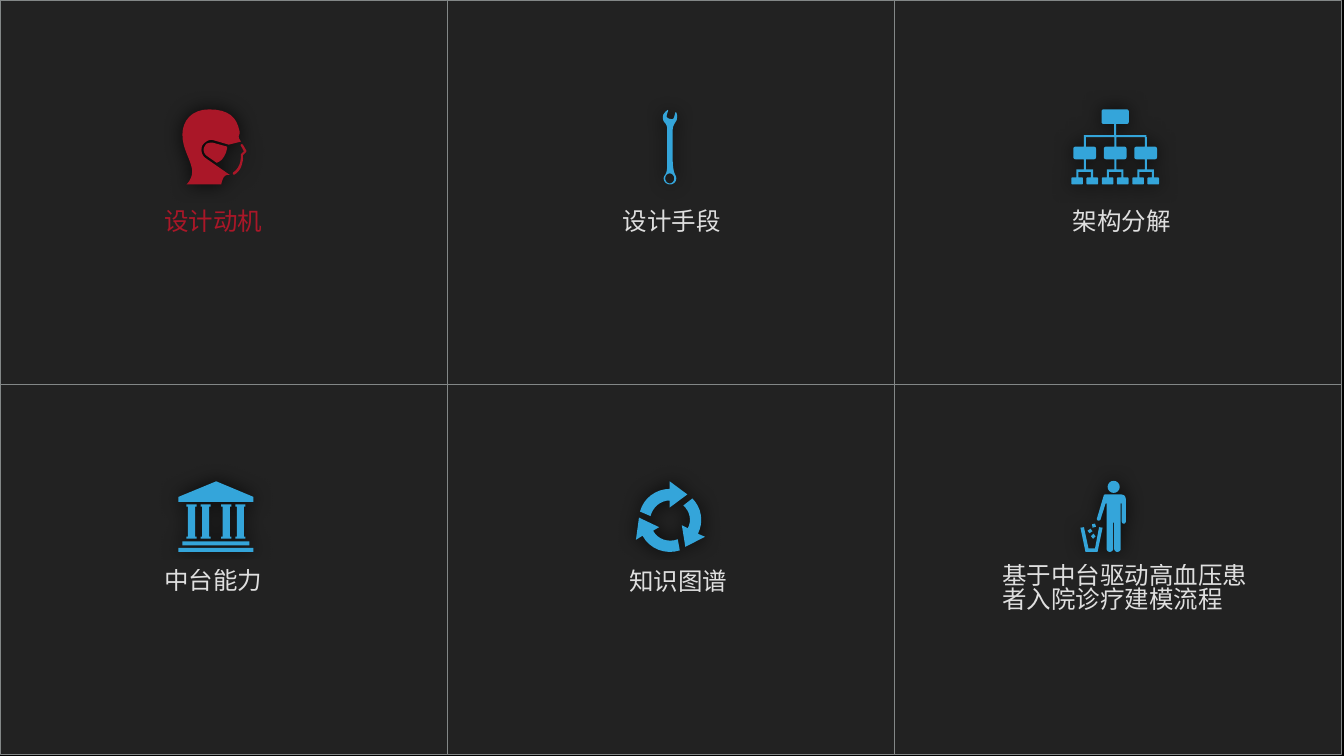
from math import cos, pi, sin

from lxml.etree import SubElement
from pptx import Presentation
from pptx.dml.color import RGBColor
from pptx.enum.shapes import MSO_SHAPE as Shape
from pptx.enum.text import MSO_ANCHOR as Anchor, PP_ALIGN as Align
from pptx.oxml.ns import qn
from pptx.util import Inches, Pt

COLORS = {"back": "000000", "tile": "222222", "grid": "838787",
          "icon": "34A5DA", "active": "AA1728", "text": "FFFFFF"}
UNITS = 1000  # drawing units per inch
LABEL_FONT = {"name": "Roboto", "size": Pt(35)}
LABEL_FRAME = {"word_wrap": True, "vertical_anchor": Anchor.MIDDLE,
               "margin_left": Inches(0.06), "margin_right": Inches(0.06),
               "margin_top": Inches(0.06), "margin_bottom": Inches(0.06)}

# Outlines: each step holds one point (line) or three points (Bezier curve)
HEAD = [
    "4.15 2.17; 3.8 2.17 3.62 2.4 3.62 2.67; 3.62 2.95 3.78 3.16 3.81 3.35;"
    "3.84 3.54 3.7 3.66 3.7 3.66; 4.39 3.66; 4.43 3.46 4.49 3.47 4.56 3.47;"
    "4.07 3.13; 4.02 3.09 3.99 3.02 4 2.95; 4 2.9 4.03 2.85 4.08 2.82;"
    "4.12 2.78 4.18 2.77 4.23 2.78; 4.54 2.87; 4.78 2.81;"
    "4.77 2.79 4.76 2.77 4.75 2.76; 4.71 2.69 4.78 2.66 4.75 2.59;"
    "4.7 2.34 4.55 2.17 4.15 2.17",
    "4.19 2.83; 4.16 2.83 4.13 2.84 4.1 2.85; 4.07 2.88 4.05 2.92 4.04 2.96;"
    "4.04 3.01 4.06 3.06 4.1 3.09; 4.3 3.23; 4.39 3.2 4.44 3.13 4.48 3.04;"
    "4.5 2.98 4.51 2.93 4.51 2.91; 4.22 2.83",
    "4.8 2.86; 4.78 2.86 4.77 2.88 4.78 2.89; 4.84 3; 4.78 3.06;"
    "4.78 3.06 4.78 3.07 4.78 3.08; 4.78 3.08 4.8 3.31 4.63 3.42;"
    "4.62 3.43 4.62 3.44 4.62 3.45; 4.63 3.47 4.65 3.47 4.66 3.46;"
    "4.74 3.41 4.79 3.33 4.81 3.22; 4.83 3.16 4.82 3.11 4.82 3.08;"
    "4.88 3.02; 4.89 3.01 4.89 3 4.89 2.99; 4.82 2.87",
]
WRENCH = [
    "13.25 2.18; 13.21 2.21 13.18 2.24 13.16 2.28; 13.15 2.33 13.15 2.38 13.18 2.42;"
    "13.24 2.48 13.24 2.53 13.24 2.59; 13.24 3.2; 13.24 3.32 13.24 3.41 13.2 3.47;"
    "13.18 3.49 13.17 3.52 13.17 3.54; 13.17 3.61 13.23 3.66 13.3 3.66;"
    "13.36 3.66 13.42 3.61 13.42 3.54; 13.42 3.51 13.41 3.49 13.4 3.47;"
    "13.37 3.42 13.35 3.31 13.35 3.2; 13.35 2.57; 13.35 2.51 13.38 2.46 13.4 2.43;"
    "13.42 2.4 13.43 2.38 13.43 2.37; 13.44 2.33 13.44 2.28 13.42 2.23; 13.4 2.23;"
    "13.39 2.28 13.38 2.32 13.37 2.34; 13.36 2.39 13.21 2.35 13.23 2.3;"
    "13.23 2.27 13.25 2.23 13.26 2.19",
]
CYCLE = [
    "13.29 9.55; 13.29 9.7; 13.01 9.7 12.77 9.89 12.7 10.15; 12.91 10.24;"
    "12.95 10.07 13.1 9.93 13.29 9.93; 13.29 10.07; 13.64 9.81",
    "13.74 9.89; 13.56 10.03; 13.69 10.14 13.73 10.33 13.65 10.48; 13.53 10.42;"
    "13.6 10.85; 13.99 10.65; 13.85 10.59; 13.97 10.35 13.92 10.07 13.74 9.89",
    "12.68 10.27; 12.62 10.71; 12.75 10.63; 12.9 10.9 13.21 11.01 13.49 10.92;"
    "13.45 10.7; 13.26 10.77 13.05 10.7 12.96 10.53; 13.08 10.46",
]
PERSON = [
    "21.96 9.81; 21.93 9.81; 21.92 9.81 21.9 9.82 21.9 9.84; 21.77 10.28;"
    "21.76 10.3 21.77 10.32 21.79 10.33; 21.82 10.33 21.84 10.32 21.84 10.3;"
    "21.94 9.99; 21.96 9.99; 21.96 10.89; 21.96 10.92 21.99 10.95 22.02 10.95;"
    "22.06 10.95 22.09 10.92 22.09 10.89; 22.09 10.37; 22.11 10.37; 22.11 10.89;"
    "22.11 10.92 22.14 10.95 22.17 10.95; 22.21 10.95 22.24 10.92 22.24 10.89;"
    "22.24 9.99; 22.26 9.99; 22.26 10.35; 22.26 10.37 22.28 10.39 22.3 10.39;"
    "22.32 10.39 22.34 10.37 22.34 10.35; 22.34 9.91;"
    "22.34 9.9 22.34 9.87 22.32 9.84; 22.31 9.83 22.28 9.81 22.24 9.81",
    "21.73 10.39; 21.67 10.4; 21.68 10.47; 21.75 10.45",
    "21.51 10.46; 21.44 10.47; 21.54 10.95; 21.78 10.95; 21.88 10.47;"
    "21.81 10.46; 21.73 10.88; 21.6 10.88",
    "21.64 10.49; 21.58 10.53; 21.62 10.58; 21.68 10.54",
    "21.7 10.59; 21.65 10.64; 21.69 10.69; 21.74 10.64",
]


def trace(text, samples=8):
    points = []
    for step in text.split(";"):
        values = [float(value) for value in step.split()]
        knots = list(zip(values[::2], values[1::2]))
        if len(knots) == 1:
            points += knots
            continue
        curve = list(zip(points[-1], *knots))
        for index in range(1, samples + 1):
            t = index / samples
            u = 1 - t
            points.append(tuple(a * u**3 + 3 * b * u * u * t + 3 * c * u * t * t + d * t**3
                                for a, b, c, d in curve))
    return points


def block(left, top, right, bottom, radius=0):
    if not radius:
        return [(left, top), (right, top), (right, bottom), (left, bottom)]
    centers = [(right - radius, bottom - radius), (left + radius, bottom - radius),
               (left + radius, top + radius), (right - radius, top + radius)]
    return [(x + radius * cos(angle), y + radius * sin(angle))
            for corner, (x, y) in enumerate(centers)
            for angle in [(corner + part / 4) * pi / 2 for part in range(5)]]


def org_chart():
    parts = [block(21.86, 2.17, 22.4, 2.46, 0.04), block(22.11, 2.46, 22.15, 2.68),
             block(21.51, 2.68, 22.75, 2.72)]
    for branch in range(3):
        x = 21.3 + branch * 0.605
        parts += [block(x + 0.21, 2.72, x + 0.25, 2.91),
                  block(x, 2.91, x + 0.45, 3.16, 0.04),
                  block(x + 0.21, 3.16, x + 0.25, 3.36),
                  block(x + 0.06, 3.36, x + 0.39, 3.41)]
        for leaf, drop in ((x - 0.04, x + 0.06), (x + 0.26, x + 0.35)):
            parts += [block(drop, 3.41, drop + 0.04, 3.52),
                      block(leaf, 3.52, leaf + 0.23, 3.66, 0.02)]
    return parts


def temple():
    parts = [trace("4.29 9.55; 3.54 9.86; 3.54 9.96; 5.03 9.96; 5.03 9.86"),
             block(3.62, 10.74, 4.95, 10.82), block(3.54, 10.87, 5.03, 10.95)]
    for x in (3.7, 3.98, 4.39, 4.67):
        parts += [block(x, 10.01, x + 0.2, 10.05),
                  block(x + 0.03, 10.05, x + 0.17, 10.65),
                  block(x, 10.65, x + 0.2, 10.69)]
    return parts


def paint(fill, color):
    fill.solid()
    fill.fore_color.rgb = RGBColor.from_string(COLORS[color])


def add_tiles(page):
    group = page.shapes.add_group_shape()
    for top, height in ((0.01, 7.63), (7.63, 7.34)):
        for column in range(3):
            tile = group.shapes.add_shape(Shape.RECTANGLE, Inches(column * 8.87), Inches(top),
                                          Inches(8.88), Inches(height))
            tile.shadow.inherit = False
            paint(tile.fill, "tile")
            paint(tile.line.fill, "grid")
            tile.line.width = Pt(1.25)


def add_icon(page, contours, color="icon"):
    scaled = [[(x * UNITS, y * UNITS) for x, y in points] for points in contours]
    builder = page.shapes.build_freeform(*scaled[0][0], scale=Inches(1) / UNITS)
    for index, points in enumerate(scaled):
        if index:
            builder.move_to(*points[0])
        builder.add_line_segments(points[1:], close=True)
    icon = builder.convert_to_shape()
    paint(icon.fill, color)
    icon.line.fill.background()
    # Soft glow-like shadow
    icon.shadow.inherit = False
    effects = icon._element.spPr.find(qn("a:effectLst"))
    shadow = SubElement(effects, qn("a:outerShdw"), blurRad=str(Pt(28)), dist="0", dir="0",
                        algn="ctr", rotWithShape="0")
    shade = SubElement(shadow, qn("a:srgbClr"), val=COLORS["back"])
    SubElement(shade, qn("a:alpha"), val="75000")


def add_label(page, text, place, color="text", align=Align.CENTER):
    box = page.shapes.add_textbox(*map(Inches, place))
    paint(box.fill, "tile")
    for name, value in LABEL_FRAME.items():
        setattr(box.text_frame, name, value)
    para = box.text_frame.paragraphs[0]
    para.alignment, para.line_spacing = align, 0.8
    span = para.add_run()
    span.text = text
    for name, value in LABEL_FONT.items():
        setattr(span.font, name, value)
    paint(span.font.fill, color)
    if color == "text":
        ink = span.font._element.find(".//" + qn("a:srgbClr"))
        SubElement(ink, qn("a:alpha"), val="85000")


def main():
    deck = Presentation()
    deck.slide_width, deck.slide_height = Inches(26.67), Inches(15)
    page = deck.slides.add_slide(deck.slide_layouts[6])
    paint(page.background.fill, "back")
    add_tiles(page)

    # Icons
    ring_hole = [(13.29 + 0.09 * cos(k * pi / 8), 3.54 + 0.1 * sin(k * pi / 8))
                 for k in range(16)]
    add_icon(page, map(trace, HEAD), "active")
    add_icon(page, [*map(trace, WRENCH), ring_hole])
    add_icon(page, org_chart())
    add_icon(page, temple())
    add_icon(page, map(trace, CYCLE))
    add_icon(page, [block(21.98, 9.54, 22.22, 9.78, 0.12), *map(trace, PERSON)])

    # Labels
    add_label(page, "设计动机", (2.81, 4.02, 2.84, 0.82), "active")
    add_label(page, "设计手段", (11.91, 4.02, 2.84, 0.82))
    add_label(page, "架构分解", (20.84, 4.02, 2.84, 0.82))
    add_label(page, "中台能力", (2.81, 11.1, 2.84, 0.93))
    add_label(page, "知识图谱", (11.31, 11.11, 4.31, 0.93))
    add_label(page, "基于中台驱动高血压患者入院诊疗建模流程", (19.83, 11.1, 5.21, 1.2),
              align=Align.LEFT)
    deck.save("out.pptx")


if __name__ == "__main__":
    main()
